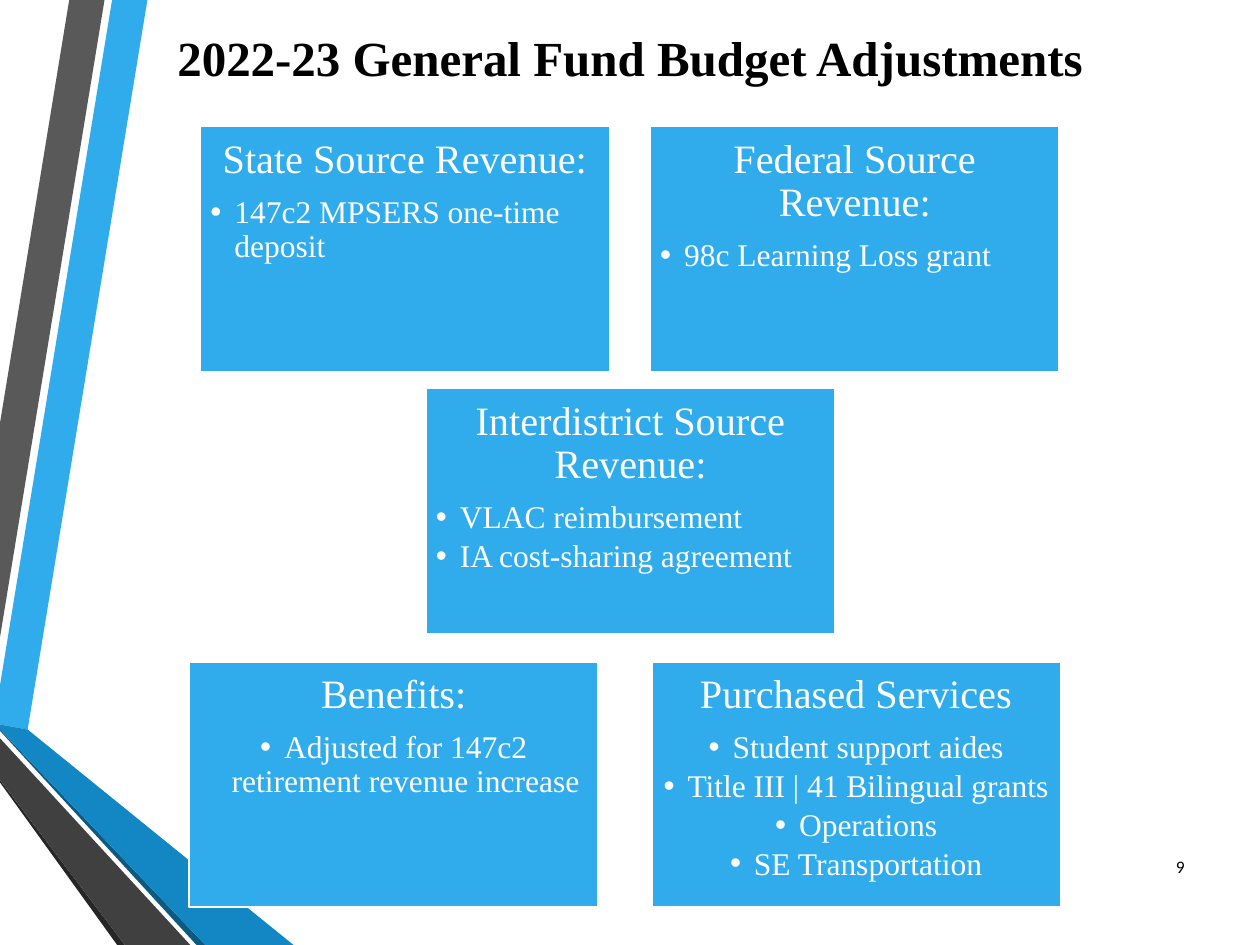
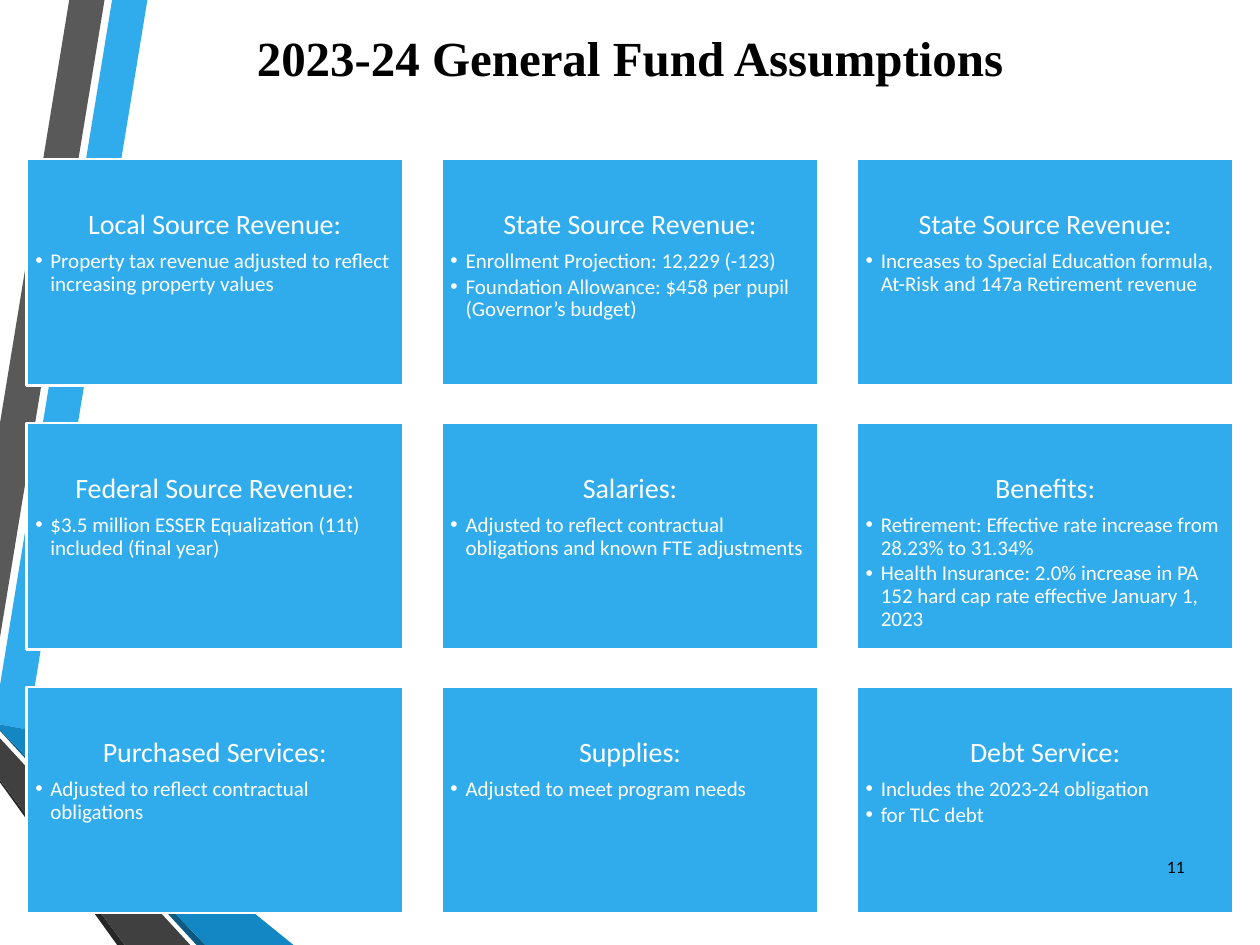
"""Build two budget slides with ribbon edges and grids of cards."""
from dataclasses import dataclass
from typing import NamedTuple

from lxml import etree
from pptx import Presentation
from pptx.dml.color import RGBColor
from pptx.enum.shapes import MSO_SHAPE
from pptx.enum.text import MSO_ANCHOR, PP_ALIGN
from pptx.oxml.ns import qn
from pptx.util import Emu, Inches, Pt

RECT = MSO_SHAPE.RECTANGLE
TOP, MID = MSO_ANCHOR.TOP, MSO_ANCHOR.MIDDLE
LEFT, MIDST, RIGHT = PP_ALIGN.LEFT, PP_ALIGN.CENTER, PP_ALIGN.RIGHT

COLS, ROWS = 100, 75
CELL = Inches(0.1)
SERIF, SANS = "Times New Roman", "Calibri"
HUES = {
    "sky": "30ACEC", "blue": "1287C3", "navy": "0C5A82",
    "gray": "595959", "dark": "404040", "coal": "262626",
    "white": "FFFFFF", "black": "000000",
}


class Box(NamedTuple):
    """A place on the grid, in cells."""
    col: float
    row: float
    wide: float
    high: float


class Band(NamedTuple):
    """A ribbon facet: its hue and its corners in cells."""
    hue: str
    dots: list[tuple[float, float]]


@dataclass(frozen=True)
class Look:
    """Type and padding shared by the cards of one slide."""
    face: str
    head: float
    body: float
    pad: float
    top: float
    hang: float


@dataclass(frozen=True)
class Card:
    """A heading with its bullet points."""
    head: str
    items: list[str]
    align: PP_ALIGN = LEFT


BANDS = [
    Band("sky", [(0, 54.4), (0, 57.5), (2.2, 57.9), (11.7, 0), (8.9, 0)]),
    Band("gray", [(8.3, 0), (5.5, 0), (0, 33.6), (0, 50.6)]),
    Band("coal", [(0, 61.9), (0, 62.1), (9.3, 75), (9.9, 75)]),
    Band("navy", [(0, 57.9), (0, 58), (15.6, 75), (16.3, 75)]),
    Band("blue", [(0, 57.9), (16.3, 75), (23.3, 75), (2.2, 57.9), (0, 57.5)]),
    Band("dark", [(0, 61.9), (9.9, 75), (15.1, 75), (0, 58.6)]),
]
TITLE = Box(5, 0.2, 90, 8.7)
PAGE = Box(90.3, 66.8, 4.7, 4)

LARGE = Look(SERIF, 23, 18, 0.8, 1, 1.9)
SMALL = Look(SANS, 16, 12, 0.7, 4.1, 1.2)

CHANGES = [
    (15.9, 10, Card("State Source Revenue:", ["147c2 MPSERS one-time deposit"])),
    (51.6, 10, Card("Federal Source Revenue:", ["98c Learning Loss grant"])),
    (33.8, 30.8, Card("Interdistrict Source Revenue:",
                      ["VLAC reimbursement", "IA cost-sharing agreement"])),
    (15, 52.5, Card("Benefits:",
                    ["Adjusted for 147c2 retirement revenue increase"], MIDST)),
    (51.7, 52.5, Card("Purchased Services",
                      ["Student support aides", "Title III | 41 Bilingual grants",
                       "Operations", "SE Transportation"], MIDST)),
]
PLANS = [
    Card("Local Source Revenue:",
         ["Property tax revenue adjusted to reflect increasing property values"]),
    Card("State Source Revenue:",
         ["Enrollment Projection: 12,229 (-123)",
          "Foundation Allowance: $458 per pupil (Governor’s budget)"]),
    Card("State Source Revenue:",
         ["Increases to Special Education formula, At-Risk and 147a Retirement revenue"]),
    Card("Federal Source Revenue:",
         ["$3.5 million ESSER Equalization (11t) included (final year)"]),
    Card("Salaries:",
         ["Adjusted to reflect contractual obligations and known FTE adjustments"]),
    Card("Benefits:",
         ["Retirement: Effective rate increase from 28.23% to 31.34%",
          "Health Insurance: 2.0% increase in PA 152 hard cap rate effective January 1, 2023"]),
    Card("Purchased Services:", ["Adjusted to reflect contractual obligations"]),
    Card("Supplies:", ["Adjusted to meet program needs"]),
    Card("Debt Service:", ["Includes the 2023-24 obligation", "for TLC debt"]),
]


def span(cells: float) -> Emu:
    """Turn grid cells into a length."""
    return Emu(round(cells * CELL))


def place(box: Box) -> list[Emu]:
    """Turn a grid box into left, top, width and height."""
    return [span(side) for side in box]


def tint(hue: str) -> RGBColor:
    """Look up a colour by name."""
    return RGBColor.from_string(HUES[hue])


def style(para, face: str, size: float, hue: str, bold: bool = False) -> None:
    """Set the font of a whole paragraph."""
    font = para.font
    font.name, font.size, font.bold = face, Pt(size), bold
    font.color.rgb = tint(hue)


def bullet(para, hang: float) -> None:
    """Give a paragraph a hanging round bullet."""
    props = para._p.get_or_add_pPr()
    props.set("marL", str(span(hang)))
    props.set("indent", str(-span(hang)))
    etree.SubElement(props, qn("a:buFont")).set("typeface", "Arial")
    etree.SubElement(props, qn("a:buChar")).set("char", "•")


def label(slide, box: Box, text: str, align: PP_ALIGN, face: str,
          size: float, bold: bool = False) -> None:
    """Write one black line, centred in height."""
    frame = slide.shapes.add_textbox(*place(box)).text_frame
    frame.word_wrap, frame.vertical_anchor = True, MID
    para = frame.paragraphs[0]
    para.text, para.alignment = text, align
    style(para, face, size, "black", bold)


def ribbon(slide) -> None:
    """Draw the folded ribbon on the left edge."""
    for band in BANDS:
        first, *rest = [(span(x), span(y)) for x, y in band.dots]
        path = slide.shapes.build_freeform(*first)
        path.add_line_segments(rest, close=True)
        facet = path.convert_to_shape()
        facet.shadow.inherit = False
        facet.fill.solid()
        facet.fill.fore_color.rgb = tint(band.hue)
        facet.line.fill.background()


def panel(slide, box: Box, card: Card, look: Look) -> None:
    """Draw one card with its heading and bullets."""
    shape = slide.shapes.add_shape(RECT, *place(box))
    shape.shadow.inherit = False
    shape.fill.solid()
    shape.fill.fore_color.rgb = tint("sky")
    shape.line.color.rgb = tint("white")
    shape.line.width = Pt(1.25)
    frame = shape.text_frame
    frame.word_wrap, frame.vertical_anchor = True, TOP
    frame.margin_left = frame.margin_right = frame.margin_bottom = span(look.pad)
    frame.margin_top = span(look.top)
    for rank, text in enumerate([card.head, *card.items]):
        para = frame.add_paragraph() if rank else frame.paragraphs[0]
        size, gap = (look.body, 0.15) if rank else (look.head, 0.35)
        para.text = text
        para.alignment = card.align if rank else MIDST
        para.line_spacing = 0.9
        para.space_after = Pt(size * gap)
        if rank:
            para.level = 1
            bullet(para, look.hang)
        style(para, look.face, size, "white")


def page(deck, title: str, number: int, look: Look,
         cards: list[tuple[Box, Card]]) -> None:
    """Add a slide with ribbon, title, cards and page number."""
    slide = deck.slides.add_slide(deck.slide_layouts[6])
    ribbon(slide)
    label(slide, TITLE, title, MIDST, SERIF, 28, True)
    for box, card in cards:
        panel(slide, box, card, look)
    label(slide, PAGE, str(number), RIGHT, SANS, 10)


def main() -> None:
    """Build and save the deck."""
    deck = Presentation()
    deck.slide_width, deck.slide_height = span(COLS), span(ROWS)
    page(deck, "2022-23 General Fund Budget Adjustments", 9, LARGE,
         [(Box(col, row, 32.5, 19.5), card) for col, row, card in CHANGES])
    page(deck, "2023-24 General Fund Assumptions", 11, SMALL,
         [(Box(2.1 + 32.95 * (i % 3), 12.6 + 20.95 * (i // 3), 29.9, 18), card)
          for i, card in enumerate(PLANS)])
    deck.save("out.pptx")


if __name__ == "__main__":
    main()
